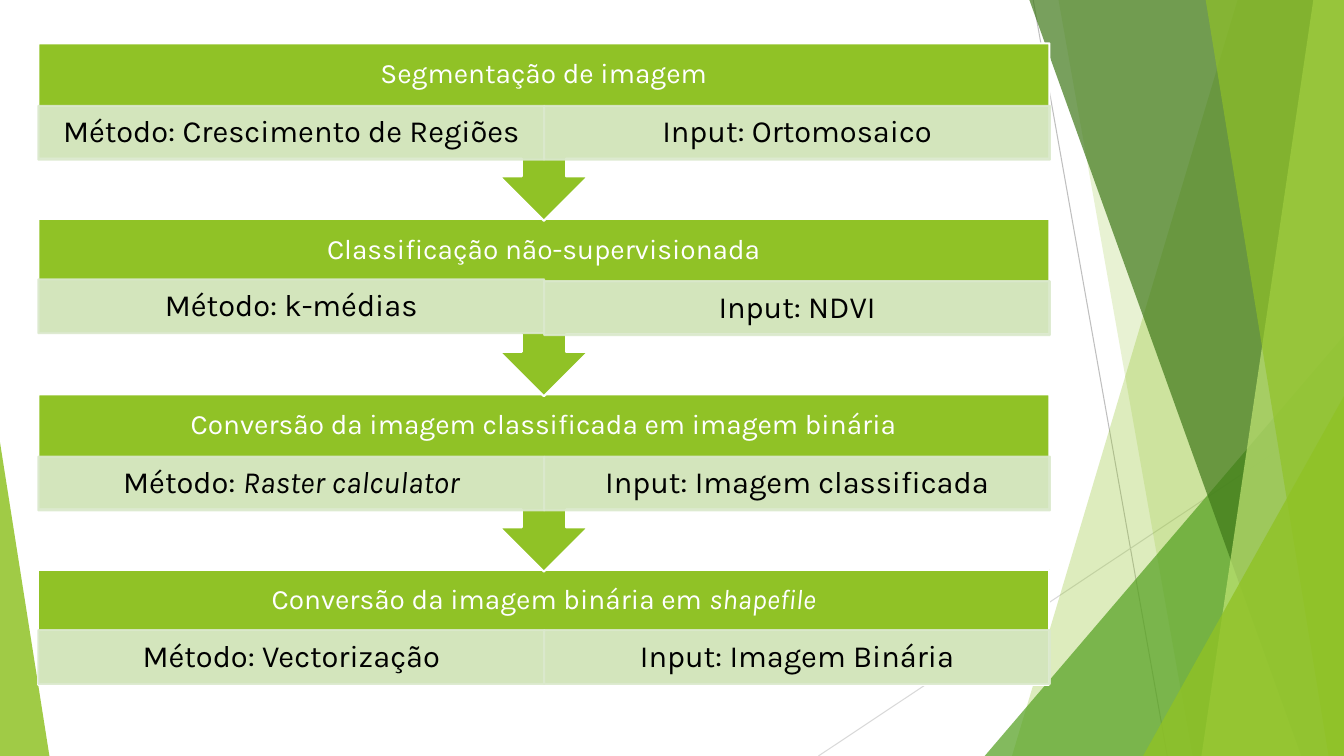
import pptx
import pptx.util
import pptx.dml.color
import pptx.enum.shapes
import pptx.enum.text
import pptx.oxml.ns
import lxml.etree

Pt = pptx.util.Pt
Color = pptx.dml.color.RGBColor
Kind = pptx.enum.shapes.MSO_SHAPE
qn = pptx.oxml.ns.qn

WHITE = Color(0xFF, 0xFF, 0xFF)
BLACK = Color(0x00, 0x00, 0x00)
LIME = Color(0x90, 0xC2, 0x26)
LEAF = Color(0x54, 0xA0, 0x21)
FOREST = Color(0x3F, 0x78, 0x19)
PALE = Color(0xC0, 0xE4, 0x74)
MINT = Color(0xDB, 0xE9, 0xCD)
GREY = Color(0xBF, 0xBF, 0xBF)
SILVER = Color(0xD9, 0xD9, 0xD9)

WIDE, HIGH = 960, 540
LEFT, TOP = 27.4, 31
STEP = 125.3
SPAN, HALF = 722.2, 361.3
HEAD, CELL = 44.6, 38.4
BLOCK, ARROW = 82.1, 126.7

STAGES = [
    ("Segmentação de imagem", "", "Método: Crescimento de Regiões", "",
     "Input: Ortomosaico", 44.6, 44.6),
    ("Classificação não-supervisionada", "", "Método: k-médias", "",
     "Input: NDVI", 43.2, 44.6),
    ("Conversão da imagem classificada em imagem binária", "",
     "Método: ", "Raster calculator",
     "Input: Imagem classificada", 44.6, 44.6),
    ("Conversão da imagem binária em ", "shapefile",
     "Método: Vectorização", "", "Input: Imagem Binária", 43.2, 43.2),
]


def paint(shape, color, alpha=100, edge=None):
    shape.shadow.inherit = False
    shape.fill.solid()
    shape.fill.fore_color.rgb = color
    if edge is None:
        shape.line.fill.background()
    else:
        shape.line.color.rgb = edge
        shape.line.width = Pt(1.5)
    if alpha < 100:
        for tone in shape.element.spPr.iter(qn("a:srgbClr")):
            lxml.etree.SubElement(tone, qn("a:alpha"), val=str(alpha * 1000))


def add_line(slide, start, end, color):
    line = slide.shapes.add_connector(
        pptx.enum.shapes.MSO_CONNECTOR.STRAIGHT, *map(Pt, start + end))
    line.line.color.rgb = color
    line.line.width = Pt(0.75)
    lxml.etree.SubElement(line.element.spPr, qn("a:effectLst"))


def add_band(slide, top, foot, color, alpha):
    pen = slide.shapes.build_freeform(Pt(top), Pt(-0.6))
    points = [(WIDE, -0.6), (WIDE, HIGH), (foot, HIGH)]
    pen.add_line_segments([(Pt(x), Pt(y)) for x, y in points])
    paint(pen.convert_to_shape(), color, alpha)


def add_shape(slide, kind, left, top, width, height):
    return slide.shapes.add_shape(
        kind, Pt(left), Pt(top), Pt(width), Pt(height))


def add_wedge(slide, left, width, height, peak, color, alpha):
    wedge = add_shape(slide, Kind.ISOSCELES_TRIANGLE,
                      left, HIGH - height, width, height)
    wedge.adjustments[0] = peak
    paint(wedge, color, alpha)


def write(shape, plain, slant, size, color, side, edge):
    frame = shape.text_frame
    frame.word_wrap = True
    frame.vertical_anchor = pptx.enum.text.MSO_ANCHOR.MIDDLE
    frame.margin_left = frame.margin_right = Pt(side)
    frame.margin_top = frame.margin_bottom = Pt(edge)
    frame.text = plain
    line = frame.paragraphs[0]
    line.alignment = pptx.enum.text.PP_ALIGN.CENTER
    line.line_spacing = 0.9
    if slant:
        run = line.add_run()
        run.text = slant
        run.font.italic = True
    for run in line.runs:
        run.font.name = "Karla"
        run.font.size = Pt(size)
        run.font.color.rgb = color


def add_cell(slide, left, top, plain, slant=""):
    cell = add_shape(slide, Kind.RECTANGLE, left, top, HALF, CELL)
    paint(cell, MINT, 90, MINT)
    write(cell, plain, slant, 22, BLACK, 12.2, 2.3)


def add_stage(slide, top, stage, last):
    head, slant, method, term, source, drop, fall = stage
    if last:
        block = add_shape(slide, Kind.RECTANGLE, LEFT, top, SPAN, BLOCK)
    else:
        block = add_shape(slide, Kind.UP_ARROW_CALLOUT,
                          LEFT, top, SPAN, ARROW)
        block.rotation = 180
    paint(block, LIME, edge=WHITE)
    label = slide.shapes.add_textbox(Pt(LEFT), Pt(top), Pt(SPAN), Pt(HEAD))
    write(label, head, slant, 20, WHITE, 11.5, 11.5)
    add_cell(slide, LEFT, top + drop, method, term)
    add_cell(slide, LEFT + HALF, top + fall, source)


def add_scene(slide):
    add_line(slide, (738, 0), (833.8, HIGH), GREY)
    add_line(slide, (WIDE, 290.2), (584.6, HIGH), SILVER)
    add_band(slide, 884.2, 722.9, LIME, 30)
    add_band(slide, 756, 851.8, LIME, 20)
    add_wedge(slide, 703.4, 256.6, 300.2, 1, LEAF, 72)
    add_band(slide, 735.1, 929.5, FOREST, 70)
    add_band(slide, 938.2, 858.2, PALE, 70)
    add_band(slide, 861.1, 949, LIME, 65)
    add_wedge(slide, 816.5, 143.5, 257, 1, LIME, 80)
    add_wedge(slide, 0, 35.3, 224, 0, LIME, 85)


def main():
    deck = pptx.Presentation()
    deck.slide_width, deck.slide_height = Pt(WIDE), Pt(HIGH)
    slide = deck.slides.add_slide(deck.slide_layouts[6])
    add_scene(slide)
    last = len(STAGES) - 1
    for rank in range(last, -1, -1):
        add_stage(slide, TOP + rank * STEP, STAGES[rank], rank == last)
    deck.save("out.pptx")


if __name__ == "__main__":
    main()
